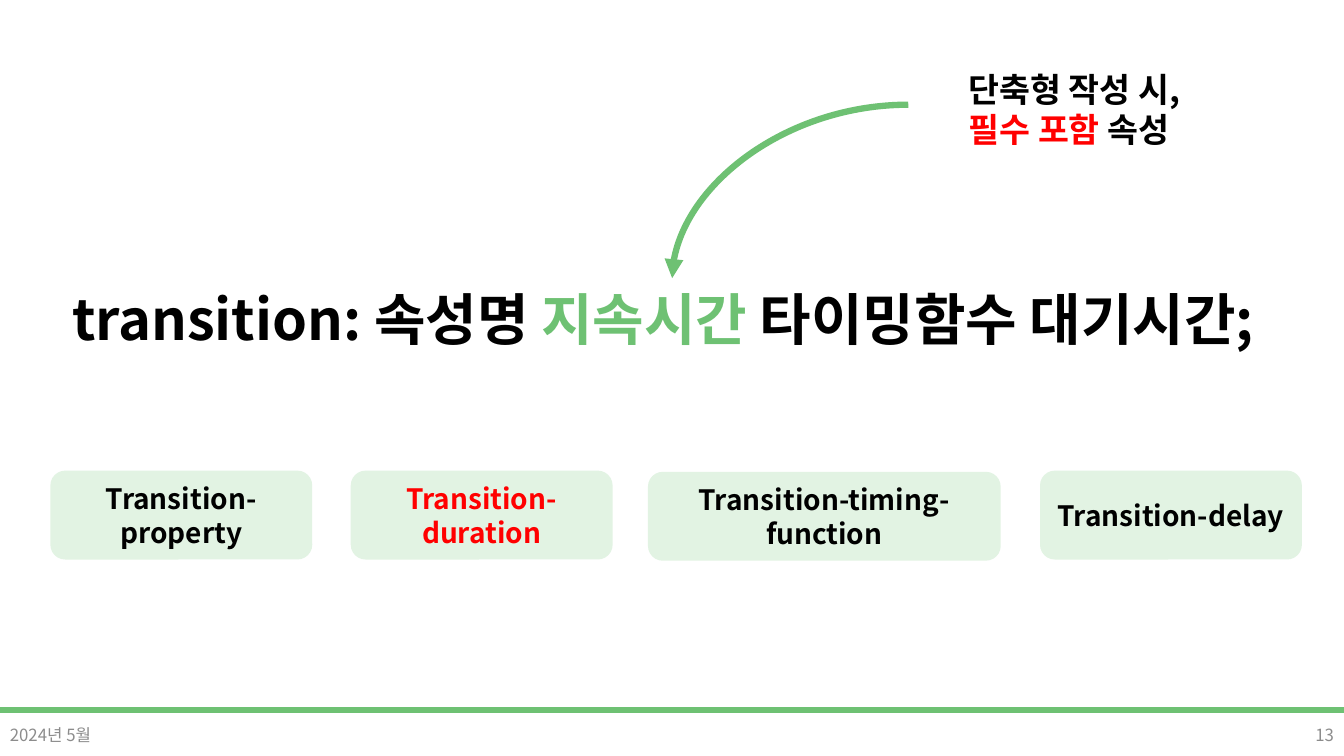
from lxml.etree import SubElement
from pptx import Presentation
from pptx.dml.color import RGBColor
from pptx.enum.shapes import MSO_CONNECTOR, MSO_SHAPE
from pptx.enum.text import MSO_ANCHOR, PP_ALIGN
from pptx.oxml.ns import qn
from pptx.util import Cm, Pt

FONT = "Noto Sans CJK KR"
COLORS = {"green": "6EC173", "pale": "E2F3E3", "black": "000000", "red": "FF0000", "gray": "8C8C8C"}
WIDTH, HEIGHT = 33.87, 19.05

SYNTAX = [[("transition: 속성명 ", "black"), ("지속시간", "green"), (" 타이밍함수 대기시간;", "black")]]
CALLOUT = [[("단축형 작성 시,", "black")], [("필수 포함", "red"), (" 속성", "black")]]
PROPERTIES = [
    ("Transition-property", "black", (1.27, 11.86, 6.6, 2.24)),
    ("Transition-duration", "red", (8.84, 11.86, 6.6, 2.24)),
    ("Transition-timing-function", "black", (16.33, 11.89, 8.89, 2.24)),
    ("Transition-delay", "black", (26.21, 11.86, 6.6, 2.24)),
]
FOOTER_WIDTH = 7.62
FOOTERS = [
    ("2024년 5월", 0, PP_ALIGN.LEFT),
    ("13", WIDTH - FOOTER_WIDTH, PP_ALIGN.RIGHT),
]


def rgb(name):
    """Return the named colour."""
    return RGBColor.from_string(COLORS[name])


def write_text(shape, paragraphs, size, bold=True, align=PP_ALIGN.LEFT, anchor=MSO_ANCHOR.TOP, wrap=True):
    """Fill a shape with paragraphs of (text, colour) runs."""
    frame = shape.text_frame
    frame.word_wrap = wrap
    frame.vertical_anchor = anchor
    for index, runs in enumerate(paragraphs):
        paragraph = frame.add_paragraph() if index else frame.paragraphs[0]
        paragraph.alignment = align
        for text, color in runs:
            run = paragraph.add_run()
            run.text = text
            run.font.size = Pt(size)
            run.font.bold = bold
            run.font.color.rgb = rgb(color)
            run.font.name = FONT
            SubElement(run.font._element, qn("a:ea"), typeface=FONT)


def add_block(slide, kind, box, fill):
    """Add a filled shape without outline or shadow."""
    shape = slide.shapes.add_shape(kind, *map(Cm, box))
    shape.shadow.inherit = False
    shape.fill.solid()
    shape.fill.fore_color.rgb = rgb(fill)
    shape.line.fill.background()
    return shape


def add_curved_arrow(slide, begin, end):
    """Add a quarter-turn curve with an arrowhead at its start."""
    connector = slide.shapes.add_connector(MSO_CONNECTOR.CURVE, *map(Cm, begin + end))
    connector.line.color.rgb = rgb("green")
    connector.line.width = Pt(4.5)
    properties = connector._element.spPr
    properties.find(qn("a:xfrm")).set("rot", "5400000")
    properties.find(qn("a:prstGeom")).set("prst", "curvedConnector2")
    SubElement(properties.find(qn("a:ln")), qn("a:headEnd"), type="triangle")
    SubElement(properties, qn("a:effectLst"))


def main():
    """Build and save the slide."""
    presentation = Presentation()
    presentation.slide_width, presentation.slide_height = Cm(WIDTH), Cm(HEIGHT)
    slide = presentation.slides.add_slide(presentation.slide_layouts[6])

    rule = add_block(slide, MSO_SHAPE.RECTANGLE, (0, 17.83, WIDTH, 0.13), "green")
    rule.line.color.rgb = rgb("green")
    rule.line.width = Pt(1)
    for text, left, align in FOOTERS:
        footer = slide.shapes.add_textbox(Cm(left), Cm(18.01), Cm(FOOTER_WIDTH), Cm(1.02))
        write_text(footer, [[(text, "gray")]], 12, bold=False, align=align, anchor=MSO_ANCHOR.MIDDLE)

    syntax = slide.shapes.add_textbox(Cm(1.57), Cm(7.04), Cm(30.73), Cm(1.96))
    write_text(syntax, SYNTAX, 40, wrap=False)
    for text, color, box in PROPERTIES:
        label = add_block(slide, MSO_SHAPE.ROUNDED_RECTANGLE, box, "pale")
        write_text(label, [[(text, color)]], 20, align=PP_ALIGN.CENTER, anchor=MSO_ANCHOR.MIDDLE)

    add_curved_arrow(slide, (22.1, 7.8), (17.73, 1.85))
    callout = slide.shapes.add_textbox(Cm(24.16), Cm(1.6), Cm(7.04), Cm(2.31))
    write_text(callout, CALLOUT, 24)
    presentation.save("out.pptx")


if __name__ == "__main__":
    main()
